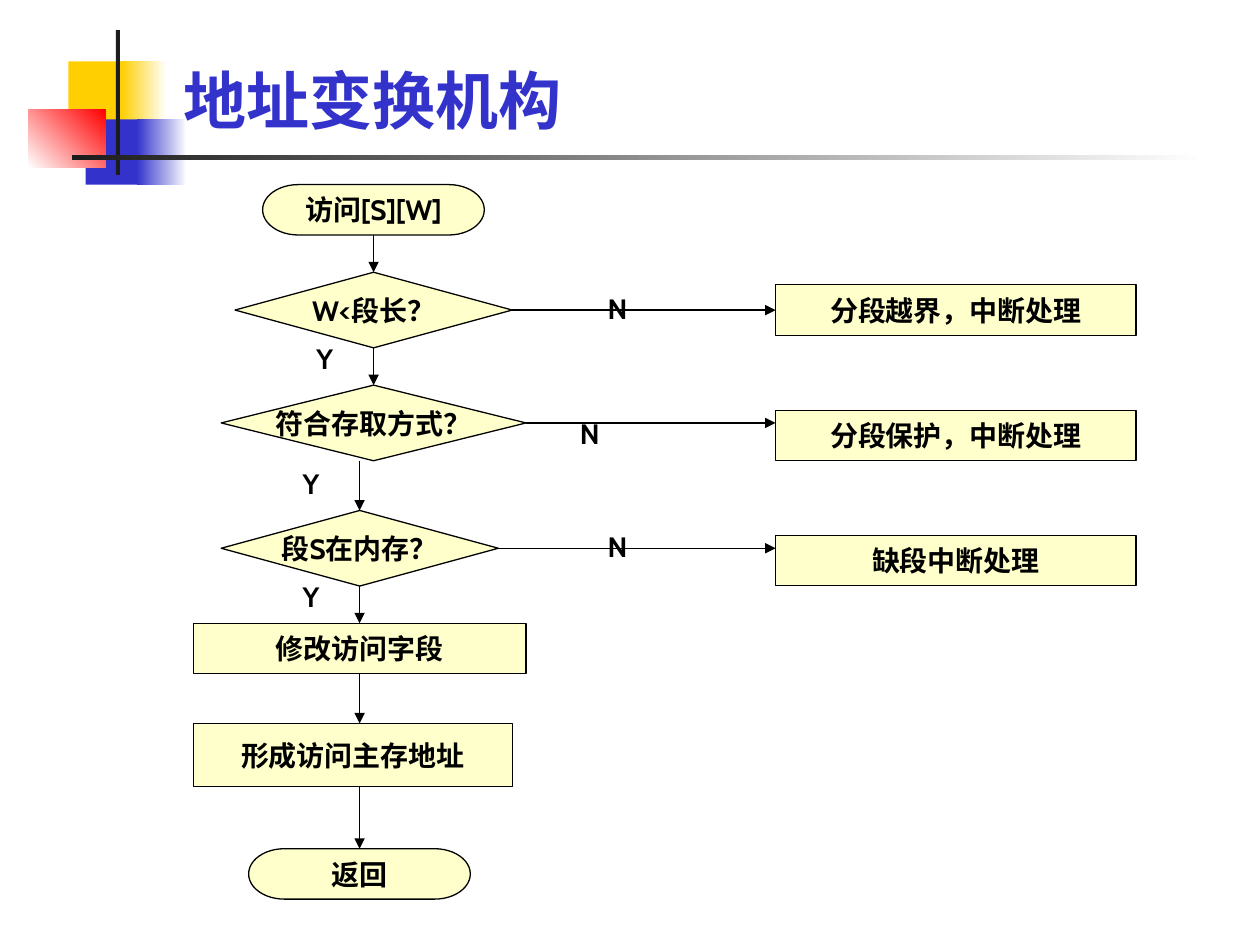
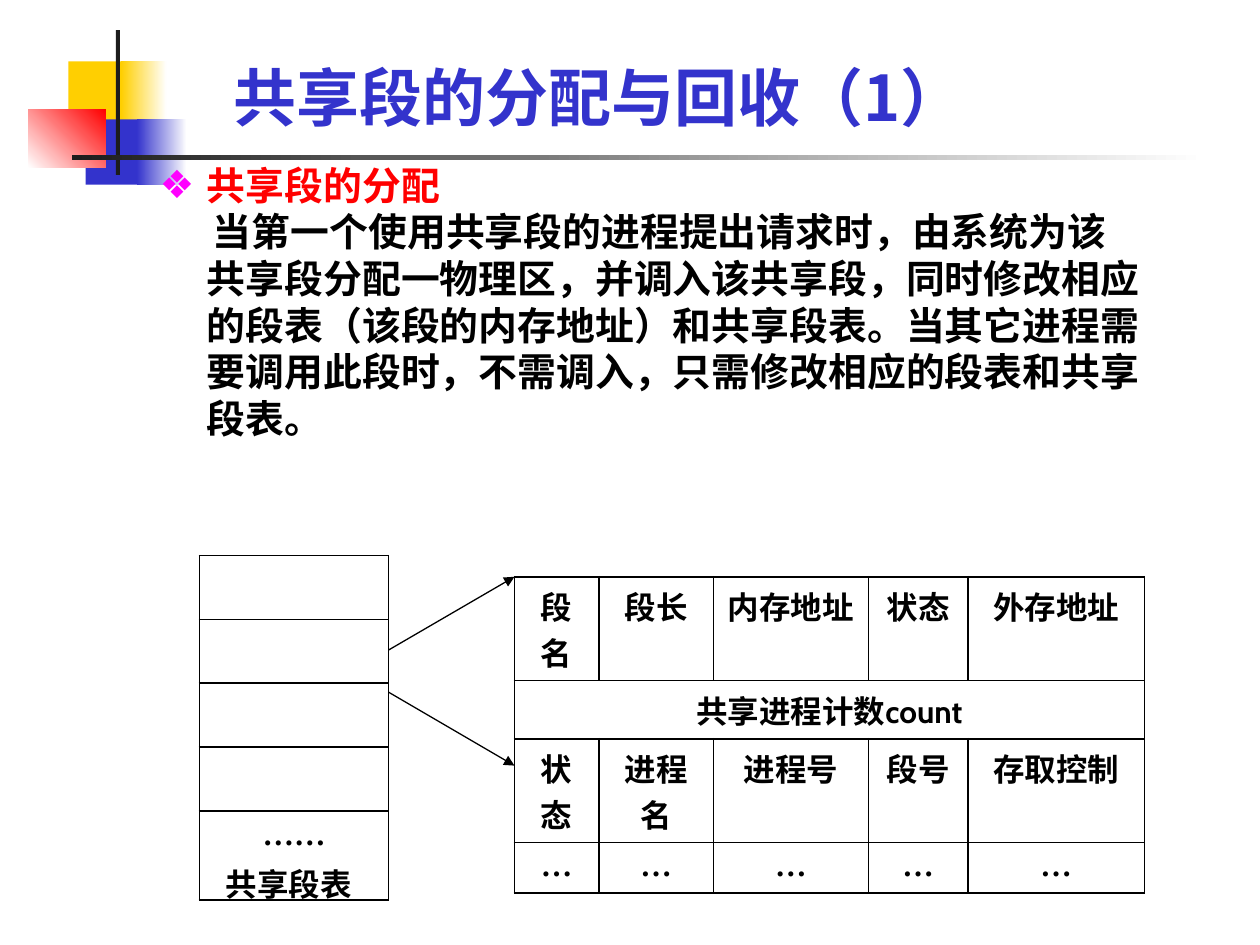
"""Build two slides on segment address translation and shared segment allocation."""
import pptx
import pptx.dml.color
import pptx.enum.shapes
import pptx.enum.text
import pptx.oxml
import pptx.oxml.ns
import pptx.util
import lxml.etree
from dataclasses import dataclass

Pt = pptx.util.Pt
qn = pptx.oxml.ns.qn
Shape = pptx.enum.shapes.MSO_SHAPE
Align = pptx.enum.text.PP_ALIGN
Anchor = pptx.enum.text.MSO_ANCHOR
AutoSize = pptx.enum.text.MSO_AUTO_SIZE


@dataclass(frozen=True)
class Theme:
    blue: str = "3333CC"
    yellow: str = "FFCF01"
    red: str = "FF0000"
    cream: str = "FFFFCC"
    magenta: str = "FF00FF"
    charcoal: str = "1C1C1C"
    black: str = "000000"
    white: str = "FFFFFF"
    heading_font: str = "Noto Sans CJK SC"
    label_font: str = "Cabin"
    dots_font: str = "Times New Roman"
    title_size: float = 36
    body_size: float = 22.2
    table_size: float = 18
    flow_size: float = 16
    line_width: float = 0.75
    border_width: float = 1.08


theme = Theme()
rgb = pptx.dml.color.RGBColor.from_string


def write(para, text, size=theme.flow_size, font=theme.label_font, color=theme.black, align=Align.LEFT):
    span = para.add_run()
    span.text = text
    span.font.size = Pt(size)
    span.font.bold = True
    span.font.name = font
    span.font.color.rgb = rgb(color)
    east_asian = lxml.etree.SubElement(span.font._element, qn("a:ea"))
    east_asian.set("typeface", theme.heading_font)
    para.alignment = align
    para.space_before = Pt(0)


def draw_arrow(page, x1, y1, x2, y2):
    arrow = page.shapes.add_connector(
        pptx.enum.shapes.MSO_CONNECTOR.STRAIGHT, Pt(x1), Pt(y1), Pt(x2), Pt(y2))
    arrow.line.color.rgb = rgb(theme.black)
    arrow.line.width = Pt(theme.line_width)
    lxml.etree.SubElement(arrow.line._get_or_add_ln(), qn("a:tailEnd")).set("type", "triangle")
    lxml.etree.SubElement(arrow.element.spPr, qn("a:effectLst"))


deck = pptx.Presentation()
deck.slide_width, deck.slide_height = Pt(720), Pt(540)
flow_page = deck.slides.add_slide(deck.slide_layouts[5])
shared_page = deck.slides.add_slide(deck.slide_layouts[1])

motif = [
    (39.1, 35, 34.6, 37.4, theme.yellow, None, 0),
    (69.3, 35, 25.9, 37.4, theme.yellow, theme.white, 0),
    (49, 68.2, 33.1, 37.4, theme.blue, None, 0),
    (78.1, 68.2, 28.8, 37.4, theme.blue, theme.white, 0),
    (16.2, 62.4, 44.2, 33.4, theme.white, theme.red, 45),
    (66.2, 17.2, 2.4, 82.8, theme.charcoal, None, 0),
    (41.2, 88.7, 648, 2.6, theme.charcoal, theme.white, 0),
]
for number, (left, top, width, height, first, last, angle) in enumerate(motif, 101):
    block = flow_page.shapes.add_shape(Shape.RECTANGLE, Pt(left), Pt(top), Pt(width), Pt(height))
    block.shadow.inherit = False
    block.line.fill.background()
    if last:
        block.fill.gradient()
        block.fill.gradient_angle = angle
        for stop, color in zip(block.fill.gradient_stops, (first, last)):
            stop.color.rgb = rgb(color)
    else:
        block.fill.solid()
        block.fill.fore_color.rgb = rgb(first)
    block.element.nvSpPr.cNvPr.set("id", str(number))
    deck.slide_master.shapes.element.append(block.element)

titles = [
    (flow_page, "地址变换机构", 97.9, 32.2, 613.4, 49.7),
    (shared_page, "共享段的分配与回收（1）", 126, 37.8, 529.2, 42.5),
]
for page, text, left, top, width, height in titles:
    title = page.shapes.title
    title.left, title.top, title.width, title.height = Pt(left), Pt(top), Pt(width), Pt(height)
    title.text_frame.vertical_anchor = Anchor.BOTTOM
    title.text_frame.auto_size = AutoSize.NONE
    write(title.text_frame.paragraphs[0], text, size=theme.title_size,
          font=theme.heading_font, color=theme.blue)

left_axis, right_axis = 205.5, 213.5
terminator, decision, process = (
    Shape.FLOWCHART_TERMINATOR, Shape.FLOWCHART_DECISION, Shape.FLOWCHART_PROCESS)
steps = [
    ("访问[S][W]", terminator, 150.1, 105.5, 126.7, 28.8),
    ("W<段长？", decision, 134.3, 155.6, 158.4, 43.2),
    ("符合存取方式？", decision, 126.4, 220.1, 174.2, 43.2),
    ("段S在内存？", decision, 126.4, 291.7, 158.4, 43.2),
    ("修改访问字段", process, 110.5, 356.2, 190.1, 28.8),
    ("形成访问主存地址", process, 110.5, 413.4, 182.2, 36),
    ("返回", terminator, 142.1, 485, 126.7, 28.8),
]
exit_left = 443.2
exits = [
    (text, process, exit_left, 162.8 + 71.6 * row, 206, 28.8)
    for row, text in enumerate(["分段越界，中断处理", "分段保护，中断处理", "缺段中断处理"])
]
for text, kind, left, top, width, height in steps + exits:
    node = flow_page.shapes.add_shape(kind, Pt(left), Pt(top), Pt(width), Pt(height))
    node.shadow.inherit = False
    node.fill.solid()
    node.fill.fore_color.rgb = rgb(theme.cream)
    node.line.color.rgb = rgb(theme.black)
    node.line.width = Pt(theme.line_width)
    node.text_frame.word_wrap = False
    node.text_frame.vertical_anchor = Anchor.MIDDLE
    write(node.text_frame.paragraphs[0], text, align=Align.CENTER)

axes = [right_axis] * 2 + [left_axis] * 4
for axis, upper, lower in zip(axes, steps, steps[1:]):
    draw_arrow(flow_page, axis, upper[3] + upper[5], axis, lower[3])
for text, kind, left, top, width, height in steps[1:4]:
    middle = top + height / 2
    draw_arrow(flow_page, left + width, middle, exit_left, middle)

answers = [
    ("N", 340.1, 163), ("N", 324.3, 234.5), ("N", 340.1, 299),
    ("Y", 173.8, 191.5), ("Y", 165.9, 263), ("Y", 165.9, 327.6),
]
captions = [(flow_page, text, left, top, 31.7, 26.6, theme.flow_size) for text, left, top in answers]
captions.append((shared_page, "共享段表", 122, 490.6, 102.2, 28.8, theme.table_size))
for page, text, left, top, width, height, size in captions:
    caption = page.shapes.add_textbox(Pt(left), Pt(top), Pt(width), Pt(height))
    caption.text_frame.word_wrap = True
    write(caption.text_frame.paragraphs[0], text, size=size)

body = shared_page.placeholders[1]
body.left, body.top, body.width, body.height = Pt(84), Pt(88.6), Pt(576), Pt(176.4)
body.text_frame.auto_size = AutoSize.NONE
passages = [
    ("共享段的分配", theme.red, -27, "❖"),
    ("当第一个使用共享段的进程提出请求时，由系统为该共享段分配一物理区，并调入该共享段，"
     "同时修改相应的段表（该段的内存地址）和共享段表。当其它进程需要调用此段时，不需调入，"
     "只需修改相应的段表和共享段表。", theme.black, 3.5, None),
]
body.text_frame.add_paragraph()
for para, (text, color, indent, bullet) in zip(body.text_frame.paragraphs, passages):
    para.line_spacing = 1.0
    write(para, text, size=theme.body_size, font=theme.heading_font, color=color)
    properties = para._p.get_or_add_pPr()
    properties.set("marL", str(Pt(27)))
    properties.set("indent", str(Pt(indent)))
    if bullet:
        bullet_color = lxml.etree.SubElement(properties, qn("a:buClr"))
        lxml.etree.SubElement(bullet_color, qn("a:srgbClr")).set("val", theme.magenta)
        lxml.etree.SubElement(properties, qn("a:buChar")).set("char", bullet)
    else:
        lxml.etree.SubElement(properties, qn("a:buNone"))

segment_rows = [[""]] * 4 + [["……"]]
detail_rows = [
    ["段名", "段长", "内存地址", "状态", "外存地址"],
    ["共享进程计数count", "", "", "", ""],
    ["状态", "进程名", "进程号", "段号", "存取控制"],
    ["…"] * 5,
]
tables = [
    (segment_rows, 114, 317.5, [108], [36.5] * 4 + [51]),
    (detail_rows, 294, 329.6, [48.2, 65.5, 88.6, 56.9, 100.8], [59.2, 33.4, 59.2, 28.8]),
]
for rows, left, top, widths, heights in tables:
    frame = shared_page.shapes.add_table(
        len(rows), len(widths), Pt(left), Pt(top), Pt(sum(widths)), Pt(sum(heights)))
    grid = frame.table
    grid.first_row = grid.horz_banding = False
    for column, width in zip(grid.columns, widths):
        column.width = Pt(width)
    for row, height in zip(grid.rows, heights):
        row.height = Pt(height)
    if rows is detail_rows:
        grid.cell(1, 0).merge(grid.cell(1, 4))
    for row, texts in zip(grid.rows, rows):
        for cell, text in zip(row.cells, texts):
            for side in ("lnL", "lnR", "lnT", "lnB"):
                border = lxml.etree.SubElement(cell._tc.get_or_add_tcPr(), qn("a:" + side))
                border.set("w", str(Pt(theme.border_width)))
                paint = lxml.etree.SubElement(border, qn("a:solidFill"))
                lxml.etree.SubElement(paint, qn("a:srgbClr")).set("val", theme.black)
            cell.fill.background()
            if text:
                font = theme.dots_font if "…" in text else theme.label_font
                write(cell.text_frame.paragraphs[0], text, size=theme.table_size,
                      font=font, align=Align.CENTER)

draw_arrow(shared_page, 222, 371.5, 294, 329.6)
draw_arrow(shared_page, 222, 395.5, 294, 437.5)

deck.save("out.pptx")
